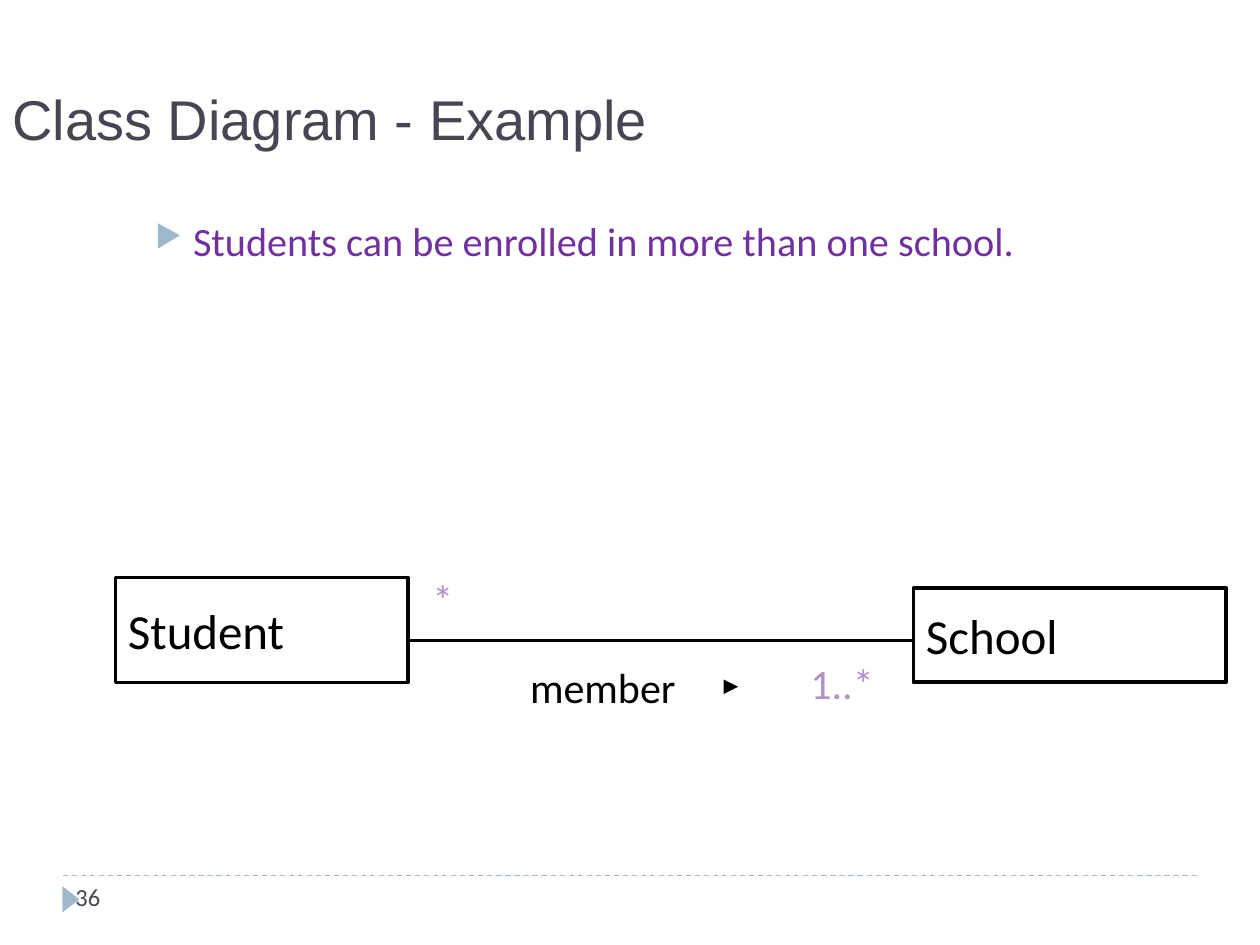
from dataclasses import dataclass

from lxml import etree
from pptx import Presentation
from pptx.dml.color import RGBColor
from pptx.enum.dml import MSO_LINE
from pptx.enum.shapes import MSO_CONNECTOR, MSO_SHAPE
from pptx.enum.text import MSO_ANCHOR, PP_ALIGN
from pptx.oxml.ns import qn
from pptx.util import Inches, Pt

STRAIGHT = MSO_CONNECTOR.STRAIGHT
RECTANGLE, TRIANGLE = MSO_SHAPE.RECTANGLE, MSO_SHAPE.ISOSCELES_TRIANGLE
TOP, MIDDLE, BOTTOM = MSO_ANCHOR.TOP, MSO_ANCHOR.MIDDLE, MSO_ANCHOR.BOTTOM


@dataclass(frozen=True)
class Theme:
    ink: str = "000000"
    slate: str = "464653"
    accent: str = "9FB8CD"
    purple: str = "7030A0"
    lilac: str = "B292CA"
    paper: str = "FFFFFF"
    heading_font: str = "Arial"
    body_font: str = "Calibri"
    title_size: int = 32
    class_size: int = 28
    label_size: int = 24
    body_size: int = 23
    number_size: int = 14


theme = Theme()
deck = Presentation()
deck.slide_width, deck.slide_height = Inches(10), Inches(7.5)
page = deck.slides.add_slide(deck.slide_layouts[6])
CELL = deck.slide_width / 120  # grid of 120 columns by 90 rows


def write(text, *, box=None, at=None, size, color=theme.ink, font=theme.body_font,
          anchor=TOP, bullet=None):
    """Put text in the given box, or in a new text box at (column, row, columns, rows)."""
    if box is None:
        box = page.shapes.add_textbox(*(round(n * CELL) for n in at))
    frame = box.text_frame
    frame.word_wrap = True
    frame.vertical_anchor = anchor
    para = frame.paragraphs[0]
    para.alignment = PP_ALIGN.LEFT
    if bullet:
        props = para._p.get_or_add_pPr()
        props.set("marL", str(Inches(0.6)))
        props.set("indent", str(Inches(-0.3)))
        bullet_color = etree.SubElement(props, qn("a:buClr"))
        etree.SubElement(bullet_color, qn("a:srgbClr"), val=theme.accent)
        etree.SubElement(props, qn("a:buSzPct"), val="76000")
        etree.SubElement(props, qn("a:buChar"), char=bullet)
    span = para.add_run()
    span.text = text
    span.font.name, span.font.size = font, Pt(size)
    span.font.color.rgb = RGBColor.from_string(color)


def draw_line(*ends, color=theme.ink, width=2.25):
    line = page.shapes.add_connector(STRAIGHT, *(round(n * CELL) for n in ends))
    line.line.color.rgb = RGBColor.from_string(color)
    line.line.width = Pt(width)
    etree.SubElement(line._element.spPr, qn("a:effectLst"))
    return line


# Footer
rule = draw_line(6, 83.4, 114, 83.4, color=theme.accent, width=0.75)
rule.line.dash_style = MSO_LINE.DASH
marker = page.shapes.add_shape(TRIANGLE, *(round(n * CELL) for n in (5.5, 84.85, 2.5, 1.6)))
marker.rotation = 90
marker.shadow.inherit = False
marker.fill.solid()
marker.fill.fore_color.rgb = RGBColor.from_string(theme.accent)
marker.line.fill.background()
write("36", at=(6, 83.4, 28, 4.8), size=theme.number_size, color=theme.slate)

# Title and statement
write("Class Diagram - Example", at=(0, 2, 115, 13), size=theme.title_size,
      color=theme.slate, font=theme.heading_font, anchor=BOTTOM)
write("Students can be enrolled in more than one school.", at=(10, 20, 106, 58.5),
      size=theme.body_size, color=theme.purple, bullet="▶")

# Classes
for name, place in (("Student", (11, 55, 27.85, 10)), ("School", (87, 56, 29.75, 9))):
    box = page.shapes.add_shape(RECTANGLE, *(round(n * CELL) for n in place))
    box.shadow.inherit = False
    box.fill.solid()
    box.fill.fore_color.rgb = RGBColor.from_string(theme.paper)
    box.line.color.rgb = RGBColor.from_string(theme.ink)
    box.line.width = Pt(2.25)
    write(name, box=box, size=theme.class_size, anchor=MIDDLE)

# Association with its reading direction and multiplicities
draw_line(39, 61, 87, 61)
direction = draw_line(69.7, 65.4, 70.3, 65.4, width=2.75)
etree.SubElement(direction.line._get_or_add_ln(), qn("a:tailEnd"), type="triangle")
for text, color, place in (
    ("member", theme.ink, (49.3, 62.4, 20, 6)),
    ("*", theme.lilac, (40, 54, 6, 6)),
    ("1..*", theme.lilac, (76, 62, 9.25, 6)),
):
    write(text, at=place, size=theme.label_size, color=color)

deck.save("out.pptx")
